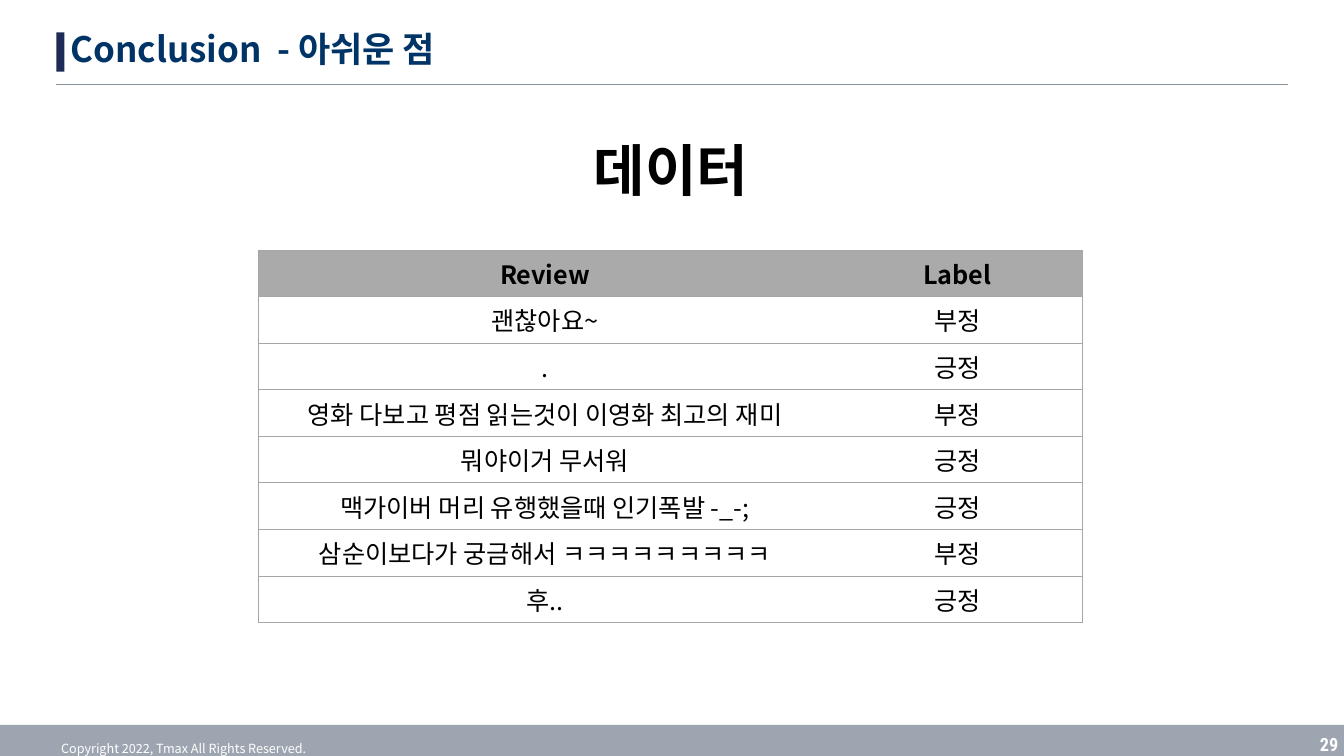
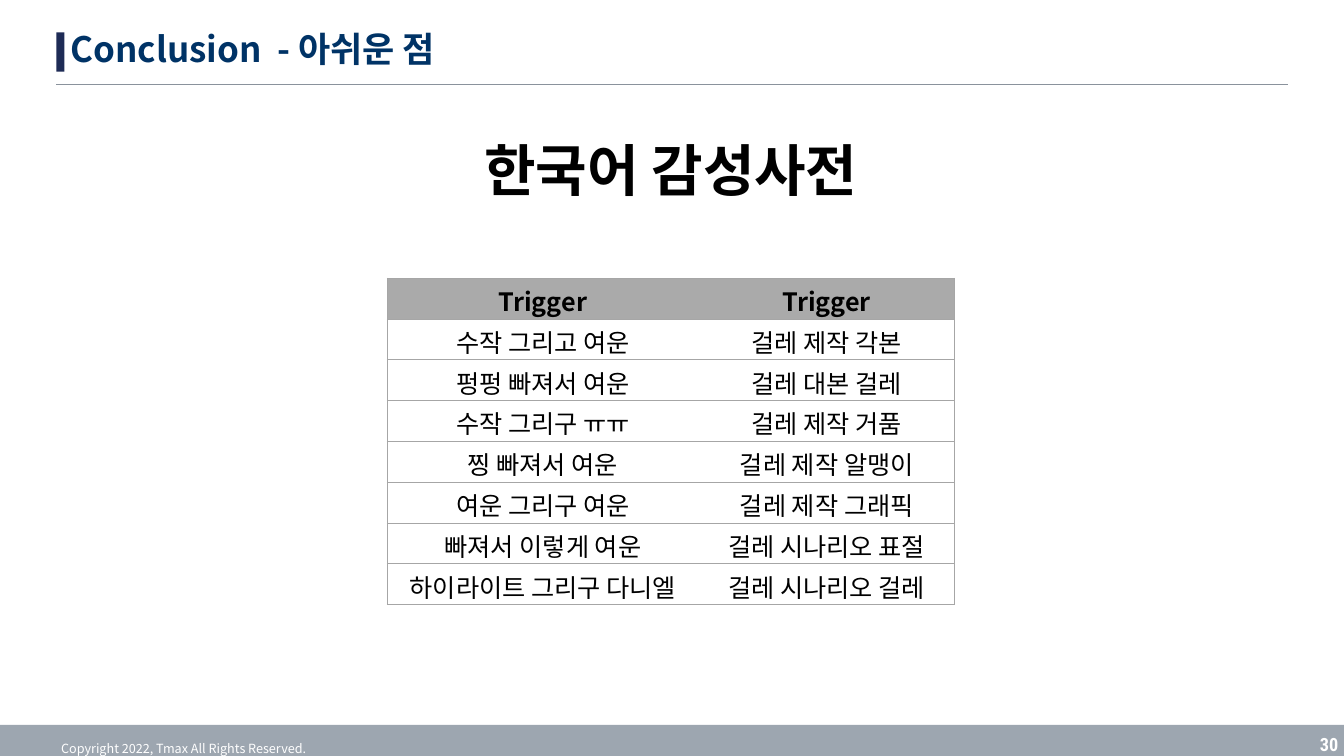
from dataclasses import dataclass

from lxml.etree import SubElement
from pptx import Presentation
from pptx.dml.color import RGBColor
from pptx.enum.shapes import MSO_CONNECTOR, MSO_SHAPE
from pptx.enum.text import MSO_ANCHOR, MSO_AUTO_SIZE, PP_ALIGN
from pptx.oxml.ns import qn
from pptx.slide import Slide
from pptx.table import _Cell
from pptx.text.text import TextFrame, _Paragraph
from pptx.util import Inches, Pt

COLORS = {
    "title": "003366",
    "marker": "1E2B56",
    "rule": "8A929C",
    "footer": "9DA6B0",
    "header": "AAAAAA",
    "border": "A6A6A6",
    "black": "000000",
    "white": "FFFFFF",
}
SANS = "Noto Sans CJK KR"
CONDENSED = "Roboto Condensed"
TITLE = "Conclusion  - 아쉬운 점"
COPYRIGHT = "Copyright 2022, Tmax All Rights Reserved."


@dataclass(frozen=True)
class TextStyle:
    size: float
    color: str
    bold: bool = True
    font: str = SANS
    align: PP_ALIGN = PP_ALIGN.CENTER
    spacing: float = 1.0


@dataclass(frozen=True)
class Box:
    left: float
    top: float
    width: float
    height: float
    inset: float = 0.05
    anchor: MSO_ANCHOR = MSO_ANCHOR.TOP
    wrap: bool = True
    grow: bool = True


@dataclass(frozen=True)
class TableSlide:
    number: int
    heading: str
    left: float
    top: float
    widths: tuple[float, ...]
    height: float
    insets: tuple[float, float]
    rows: tuple[tuple[str, ...], ...]


TITLE_STYLE = TextStyle(25, "title", align=PP_ALIGN.LEFT, spacing=0.9)
HEADING_STYLE = TextStyle(40, "black", spacing=0.9)
COPYRIGHT_STYLE = TextStyle(9, "white", bold=False, spacing=1.5)
NUMBER_STYLE = TextStyle(13, "white", font=CONDENSED, align=PP_ALIGN.LEFT)
HEADER_STYLE = TextStyle(18, "black")
BODY_STYLE = TextStyle(18, "black", bold=False)

TITLE_BOX = Box(0.65, 0.23, 8.91, 0.55, anchor=MSO_ANCHOR.MIDDLE, grow=False)
HEADING_BOX = Box(0, 1.37, 13.31, 0.85)
COPYRIGHT_BOX = Box(0.14, 7.23, 3.36, 0.25, inset=0.04)
NUMBER_BOX = Box(13.09, 7.27, 0.21, 0.22, inset=0, anchor=MSO_ANCHOR.MIDDLE, wrap=False)

SLIDES = (
    TableSlide(
        29, "데이터", 2.56, 2.48, (5.69, 2.49), 3.7, (0.05, 0.05),
        (
            ("Review", "Label"),
            ("괜찮아요~", "부정"),
            (".", "긍정"),
            ("영화 다보고 평점 읽는것이 이영화 최고의 재미", "부정"),
            ("뭐야이거 무서워", "긍정"),
            ("맥가이버 머리 유행했을때 인기폭발 -_-;", "긍정"),
            ("삼순이보다가 궁금해서 ㅋㅋㅋㅋㅋㅋㅋㅋㅋ", "부정"),
            ("후..", "긍정"),
        ),
    ),
    TableSlide(
        30, "한국어 감성사전", 3.84, 2.76, (3.09, 2.54), 3.24, (0.04, 0),
        (
            ("Trigger", "Trigger"),
            ("수작 그리고 여운", "걸레 제작 각본"),
            ("펑펑 빠져서 여운", "걸레 대본 걸레"),
            ("수작 그리구 ㅠㅠ", "걸레 제작 거품"),
            ("찡 빠져서 여운", "걸레 제작 알맹이"),
            ("여운 그리구 여운", "걸레 제작 그래픽"),
            ("빠져서 이렇게 여운", "걸레 시나리오 표절"),
            ("하이라이트 그리구 다니엘", "걸레 시나리오 걸레"),
        ),
    ),
)


def rgb(name: str) -> RGBColor:
    return RGBColor.from_string(COLORS[name])


def write(p: _Paragraph, text: str, style: TextStyle) -> None:
    p.alignment = style.align
    p.line_spacing = style.spacing
    r = p.add_run()
    r.text = text
    r.font.size = Pt(style.size)
    r.font.bold = style.bold
    r.font.name = style.font
    r.font.color.rgb = rgb(style.color)
    SubElement(r.font._element, qn("a:ea"), typeface=style.font)


def set_insets(tf: TextFrame, inset: float) -> None:
    tf.margin_left = tf.margin_right = Inches(inset)
    tf.margin_top = tf.margin_bottom = Inches(inset)


def add_text(s: Slide, box: Box, text: str, style: TextStyle) -> None:
    sp = s.shapes.add_textbox(
        Inches(box.left), Inches(box.top), Inches(box.width), Inches(box.height)
    )
    tf = sp.text_frame
    tf.word_wrap = box.wrap
    tf.auto_size = MSO_AUTO_SIZE.SHAPE_TO_FIT_TEXT if box.grow else MSO_AUTO_SIZE.NONE
    tf.vertical_anchor = box.anchor
    set_insets(tf, box.inset)
    write(tf.paragraphs[0], text, style)


def add_bar(
    s: Slide, left: float, top: float, width: float, height: float, color: str
) -> None:
    sp = s.shapes.add_shape(
        MSO_SHAPE.RECTANGLE, Inches(left), Inches(top), Inches(width), Inches(height)
    )
    sp.shadow.inherit = False
    sp.fill.solid()
    sp.fill.fore_color.rgb = rgb(color)
    sp.line.fill.background()


def add_frame(s: Slide, number: int) -> None:
    rule = s.shapes.add_connector(
        MSO_CONNECTOR.STRAIGHT, Inches(0.56), Inches(0.84), Inches(12.77), Inches(0.84)
    )
    rule.line.color.rgb = rgb("rule")
    rule.line.width = Pt(1)
    SubElement(rule._element.spPr, qn("a:effectLst"))
    add_bar(s, 0.56, 0.32, 0.08, 0.39, "marker")
    add_bar(s, 0, 7.19, 13.33, 0.31, "footer")
    add_text(s, COPYRIGHT_BOX, COPYRIGHT, COPYRIGHT_STYLE)
    add_text(s, NUMBER_BOX, str(number), NUMBER_STYLE)
    add_text(s, TITLE_BOX, TITLE, TITLE_STYLE)


def set_borders(cell: _Cell, first: bool, last: bool) -> None:
    tcPr = cell._tc.get_or_add_tcPr()
    sides = {"lnL": first, "lnR": last, "lnT": True, "lnB": True}
    for side, visible in sides.items():
        ln = SubElement(tcPr, qn(f"a:{side}"), w=str(Pt(0.75)))
        if visible:
            fill = SubElement(ln, qn("a:solidFill"))
            SubElement(fill, qn("a:srgbClr"), val=COLORS["border"])
        else:
            SubElement(ln, qn("a:noFill"))


def add_data_table(s: Slide, content: TableSlide) -> None:
    rows, widths = content.rows, content.widths
    table = s.shapes.add_table(
        len(rows), len(widths), Inches(content.left), Inches(content.top),
        Inches(sum(widths)), Inches(content.height),
    ).table
    table.first_row = table.horz_banding = False
    for column, width in zip(table.columns, widths):
        column.width = Inches(width)
    for i, texts in enumerate(rows):
        table.rows[i].height = Inches(content.height / len(rows))
        for j, text in enumerate(texts):
            cell = table.cell(i, j)
            cell.margin_left = cell.margin_right = Inches(0.05)
            cell.margin_top, cell.margin_bottom = map(Inches, content.insets)
            set_borders(cell, j == 0, j == len(widths) - 1)
            if i == 0:
                cell.fill.solid()
                cell.fill.fore_color.rgb = rgb("header")
            else:
                cell.fill.background()
            write(
                cell.text_frame.paragraphs[0], text,
                HEADER_STYLE if i == 0 else BODY_STYLE,
            )


def main() -> None:
    prs = Presentation()
    prs.slide_width, prs.slide_height = Inches(13.33), Inches(7.5)
    for content in SLIDES:
        s = prs.slides.add_slide(prs.slide_layouts[6])
        add_frame(s, content.number)
        add_text(s, HEADING_BOX, content.heading, HEADING_STYLE)
        add_data_table(s, content)
    prs.save("out.pptx")


if __name__ == "__main__":
    main()
